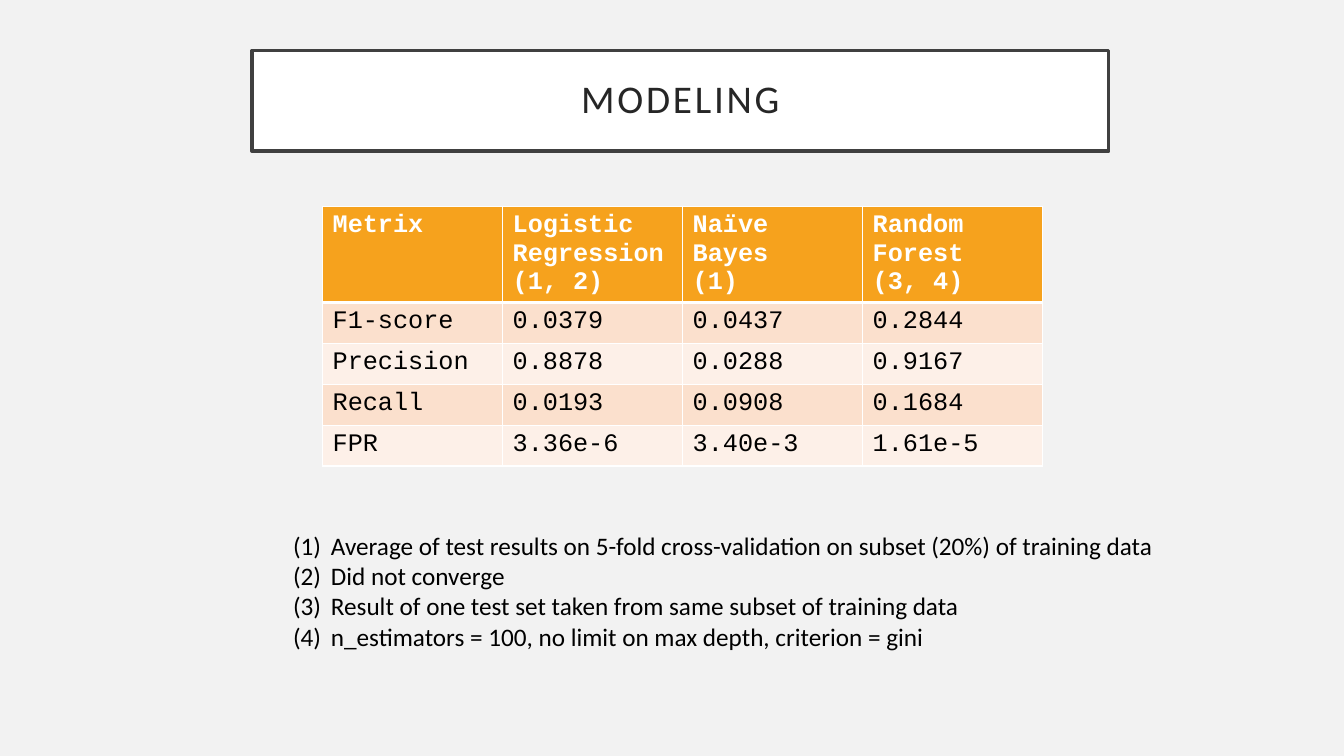
from dataclasses import dataclass

from lxml import etree
from pptx import Presentation
from pptx.dml.color import RGBColor
from pptx.enum.text import MSO_ANCHOR, MSO_AUTO_SIZE, PP_ALIGN
from pptx.oxml.ns import qn
from pptx.util import Pt

CENTER = PP_ALIGN.CENTER
LEFT = PP_ALIGN.LEFT
MIDDLE = MSO_ANCHOR.MIDDLE
NO_AUTOFIT = MSO_AUTO_SIZE.NONE
GROW = MSO_AUTO_SIZE.SHAPE_TO_FIT_TEXT

TITLE = "MODELING"
METRICS = [
    ("Metrix", "Logistic Regression (1, 2)", "Naïve Bayes \n(1)", "Random Forest \n(3, 4)"),
    ("F1-score", "0.0379", "0.0437", "0.2844"),
    ("Precision", "0.8878", "0.0288", "0.9167"),
    ("Recall", "0.0193", "0.0908", "0.1684"),
    ("FPR", "3.36e-6", "3.40e-3", "1.61e-5"),
]
NOTES = [
    "Average of test results on 5-fold cross-validation on subset (20%) of training data",
    "Did not converge",
    "Result of one test set taken from same subset of training data",
    "n_estimators = 100, no limit on max depth, criterion = gini",
]


@dataclass(frozen=True)
class Theme:
    background: str = "F2F2F2"
    white: str = "FFFFFF"
    black: str = "000000"
    title_text: str = "262626"
    title_line: str = "404040"
    header: str = "F6A21D"
    bands: tuple = ("FBE0CD", "FDF0E8")
    text_font: str = "Calibri"
    table_font: str = "Courier New"
    title_size: float = 28
    body_size: float = 18


THEME = Theme()
SLIDE_SIZE = (960, 540)
TITLE_BOX = (180, 36, 612, 72)
TITLE_INSET = 14.4
TABLE_LEFT, TABLE_TOP = 230.4, 147.6
COLUMN_WIDTH = 128.6
HEADER_HEIGHT, ROW_HEIGHT = 67.2, 29.2
NOTES_BOX = (202.3, 375.1, 636.5, 94.3)
NOTE_INDENT = 27


def color(value):
    return RGBColor.from_string(value)


def points(values):
    return [Pt(value) for value in values]


def paint(fill, value):
    fill.solid()
    fill.fore_color.rgb = color(value)


def write(paragraph, text, font=THEME.text_font, size=THEME.body_size,
          ink=THEME.black, bold=False, align=LEFT, tracking=0):
    paragraph.text = text
    paragraph.alignment = align
    for run in paragraph.runs:
        run.font.name = font
        run.font.size = Pt(size)
        run.font.bold = bold
        run.font.color.rgb = color(ink)
        if tracking:
            run.font._element.set("spc", str(tracking * 100))


def add_borders(cell, widths):
    properties = cell._tc.get_or_add_tcPr()
    for side, width in widths.items():
        line = etree.SubElement(properties, qn(f"a:ln{side}"), w=str(Pt(width)))
        fill = etree.SubElement(line, qn("a:solidFill"))
        etree.SubElement(fill, qn("a:srgbClr"), val=THEME.white)


def add_title(slide):
    title = slide.shapes.title
    title.left, title.top, title.width, title.height = points(TITLE_BOX)
    paint(title.fill, THEME.white)
    title.line.color.rgb = color(THEME.title_line)
    title.line.width = Pt(2.5)
    frame = title.text_frame
    frame.auto_size = NO_AUTOFIT
    frame.word_wrap = True
    frame.vertical_anchor = MIDDLE
    frame.margin_left = frame.margin_right = Pt(TITLE_INSET)
    frame.margin_top = frame.margin_bottom = Pt(TITLE_INSET)
    paragraph = frame.paragraphs[0]
    write(paragraph, TITLE, size=THEME.title_size, ink=THEME.title_text,
          align=CENTER, tracking=2)
    paragraph.line_spacing = 0.9


def add_metrics(slide):
    row_count, column_count = len(METRICS), len(METRICS[0])
    heights = [HEADER_HEIGHT] + [ROW_HEIGHT] * (row_count - 1)
    box = (TABLE_LEFT, TABLE_TOP, COLUMN_WIDTH * column_count, sum(heights))
    table = slide.shapes.add_table(row_count, column_count, *points(box)).table
    for column in table.columns:
        column.width = Pt(COLUMN_WIDTH)
    for row_index, values in enumerate(METRICS):
        table.rows[row_index].height = Pt(heights[row_index])
        is_header = row_index == 0
        background = THEME.header if is_header else THEME.bands[(row_index - 1) % 2]
        borders = {"L": 1, "R": 1, "T": 1, "B": 3} if is_header else {"L": 1, "R": 1, "B": 1}
        for column_index, value in enumerate(values):
            cell = table.cell(row_index, column_index)
            add_borders(cell, borders)
            paint(cell.fill, background)
            write(cell.text_frame.paragraphs[0], value, font=THEME.table_font,
                  ink=THEME.white if is_header else THEME.black, bold=is_header)


def add_notes(slide):
    frame = slide.shapes.add_textbox(*points(NOTES_BOX)).text_frame
    frame.word_wrap = False
    frame.auto_size = GROW
    for index, note in enumerate(NOTES):
        paragraph = frame.add_paragraph() if index else frame.paragraphs[0]
        write(paragraph, note)
        properties = paragraph._p.get_or_add_pPr()
        properties.set("marL", str(Pt(NOTE_INDENT)))
        properties.set("indent", str(-Pt(NOTE_INDENT)))
        etree.SubElement(properties, qn("a:buAutoNum"), type="arabicParenBoth")


def main():
    presentation = Presentation()
    presentation.slide_width, presentation.slide_height = points(SLIDE_SIZE)
    slide = presentation.slides.add_slide(presentation.slide_layouts[5])
    paint(slide.background.fill, THEME.background)
    add_title(slide)
    add_metrics(slide)
    add_notes(slide)
    presentation.save("out.pptx")


if __name__ == "__main__":
    main()
